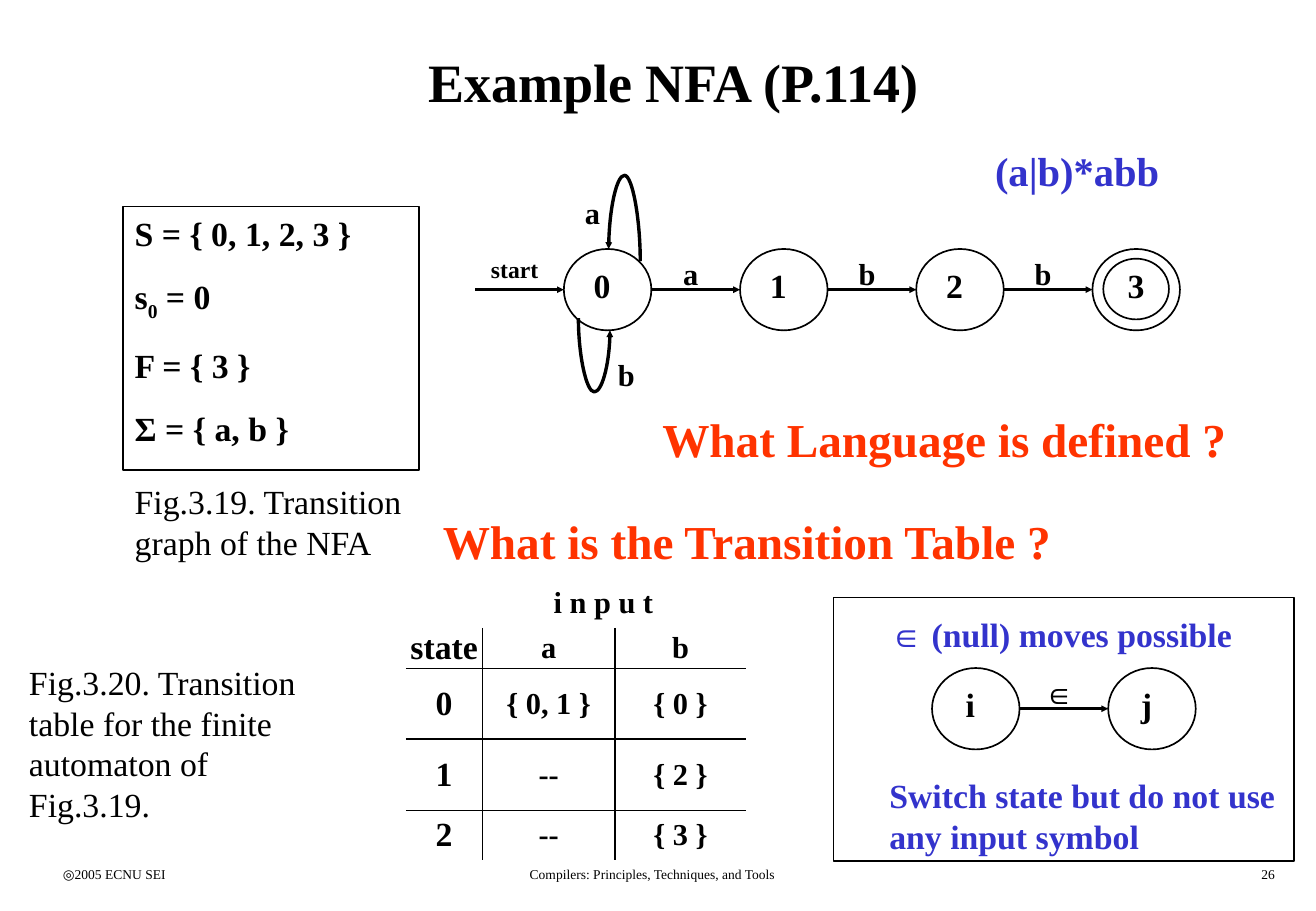
from dataclasses import dataclass
from itertools import product
from typing import Any

from lxml.etree import SubElement
from pptx import Presentation
from pptx.dml.color import RGBColor
from pptx.enum.shapes import MSO_CONNECTOR, MSO_SHAPE
from pptx.enum.text import MSO_ANCHOR, PP_ALIGN
from pptx.oxml.ns import qn
from pptx.util import Inches, Pt


@dataclass(frozen=True)
class Theme:
    face: str = "Times New Roman"
    black: str = "000000"
    blue: str = "3333CC"
    red: str = "FF3300"
    title: int = 32
    ask: int = 28
    regex: int = 24
    body: int = 20
    label: int = 18
    start: int = 14
    foot: int = 8
    thin: int = 1
    thick: int = 2


@dataclass(frozen=True)
class Note:
    text: str
    at: tuple[float, float, float, float]
    size: int
    color: str = "000000"
    bold: bool = True
    align: Any = PP_ALIGN.CENTER
    wrap: bool = True


@dataclass(frozen=True)
class State:
    name: str
    label: str = ""
    final: bool = False


@dataclass(frozen=True)
class Loop:
    at: tuple[float, float, float, float]
    turn: int
    bend: float


THEME = Theme()
LEFT, RIGHT = PP_ALIGN.LEFT, PP_ALIGN.RIGHT
WIDE, HIGH, PITCH = 0.72, 0.67, 1.45

NOTES = [
    # Footer
    Note("◎2005 ECNU SEI", (0.42, 7.08, 2.26, 0.25), THEME.foot, bold=False, align=LEFT),
    Note("Compilers: Principles, Techniques, and Tools", (3.34, 7.08, 4.06, 0.25),
         THEME.foot, bold=False),
    Note("26", (8.33, 7.08, 2.26, 0.25), THEME.foot, bold=False, align=RIGHT),
    # Questions and language
    Note("What Language is defined ?", (4.97, 3.33, 5.6, 0.57), THEME.ask, THEME.red),
    Note("What is the Transition Table ?", (1.9, 4.17, 8.49, 0.57), THEME.ask, THEME.red),
    Note("(a|b)*abb", (8.09, 1.15, 1.55, 0.5), THEME.regex, THEME.blue,
         align=LEFT, wrap=False),
    # Captions
    Note("Fig.3.19. Transition graph of the NFA", (1.01, 3.91, 2.84, 0.77),
         THEME.body, bold=False, align=LEFT),
    Note("Fig.3.20. Transition table for the finite automaton of Fig.3.19.",
         (0.14, 5.4, 2.58, 1.43), THEME.body, bold=False, align=LEFT),
    # Loop and table labels
    Note("a", (4.65, 1.55, 0.45, 0.4), THEME.label),
    Note("b", (4.93, 2.88, 0.45, 0.4), THEME.label),
    Note("i n p u t", (3.97, 4.75, 1.99, 0.4), THEME.label),
    # Null moves
    Note("∈ (null) moves possible", (7.22, 5, 3.25, 0.43), THEME.body, THEME.blue, align=LEFT),
    Note("Switch state but do not use any input symbol", (7.22, 6.33, 3.43, 0.77),
         THEME.body, THEME.blue, align=LEFT),
]
GRAPH = [State("0"), State("1", "a"), State("2", "b"), State("3", "b", True)]
NULL = [State("i"), State("j", "∈")]
LOOPS = [Loop((5.09, 1.97, 0.1, 0.26), 90, 7.07), Loop((4.84, 2.54, 0.1, 0.26), 270, 6.07)]
FACTS = [("S = { 0, 1, 2, 3 }",), ("s", "0", " = 0"), ("F = { 3 }",), ("Σ = { a, b }",)]
ROWS = [("state", "a", "b"), ("0", "{ 0, 1 }", "{ 0 }"),
        ("1", "--", "{ 2 }"), ("2", "--", "{ 3 }")]
COLS = (0.63, 1.09, 1.08)
TALL = (0.33, 0.58, 0.59, 0.41)


def put(target: Any, **values: Any) -> None:
    for name, value in values.items():
        setattr(target, name, value)


def style(font: Any, size: int, color: str = THEME.black, bold: bool = True) -> None:
    put(font, name=THEME.face, size=Pt(size), bold=bold)
    font.color.rgb = RGBColor.from_string(color)


def write(frame: Any, text: str, size: int, color: str = THEME.black,
          bold: bool = True, align: Any = PP_ALIGN.CENTER) -> None:
    para = frame.paragraphs[0]
    para.alignment = align
    run = para.add_run()
    run.text = text
    style(run.font, size, color, bold)


def add_note(slide: Any, note: Note) -> None:
    frame = slide.shapes.add_textbox(*map(Inches, note.at)).text_frame
    frame.word_wrap = note.wrap
    write(frame, note.text, note.size, note.color, note.bold, note.align)


def ink(shape: Any, width: int) -> None:
    shape.line.color.rgb = RGBColor.from_string(THEME.black)
    shape.line.width = Pt(width)


def outline(slide: Any, kind: Any, *at: float) -> Any:
    shape = slide.shapes.add_shape(kind, *map(Inches, at))
    shape.shadow.inherit = False
    shape.fill.background()
    ink(shape, THEME.thin)
    return shape


def arrow(slide: Any, kind: Any, *ends: float) -> Any:
    link = slide.shapes.add_connector(kind, *map(Inches, ends))
    ink(link, THEME.thick)
    SubElement(link.line._get_or_add_ln(), qn("a:tailEnd"), type="triangle", w="sm", len="sm")
    SubElement(link._element.spPr, qn("a:effectLst"))
    return link


def add_chain(slide: Any, states: list[State], left: float, top: float) -> None:
    for i, state in enumerate(states):
        x = left + i * PITCH
        node = outline(slide, MSO_SHAPE.OVAL, x, top, WIDE, HIGH)
        if state.final:
            node = outline(slide, MSO_SHAPE.OVAL, x + 0.09, top + 0.08, 0.54, 0.5)
        frame = node.text_frame
        put(frame, margin_left=0, margin_top=0, margin_bottom=Inches(0.07),
            margin_right=0 if state.final else Inches(0.09),
            vertical_anchor=MSO_ANCHOR.MIDDLE, word_wrap=False)
        write(frame, state.name, THEME.body)
        if state.label:
            size = THEME.start if state.label == "start" else THEME.label
            mid = top + HIGH / 2
            arrow(slide, MSO_CONNECTOR.STRAIGHT, x - PITCH + WIDE, mid, x, mid)
            add_note(slide, Note(state.label, (x - 0.81, top, 0.81, 0.4), size))


def add_loop(slide: Any, loop: Loop) -> None:
    x, y, w, h = loop.at
    props = arrow(slide, MSO_CONNECTOR.CURVE, x, y, x + w, y + h)._element.spPr
    frame = props.find(qn("a:xfrm"))
    frame.set("rot", str(loop.turn * 60000))
    frame.set("flipH", "1")
    guides = props.find(qn("a:prstGeom")).find(qn("a:avLst"))
    SubElement(guides, qn("a:gd"), name="adj1", fmla=f"val {round(loop.bend * 100000)}")


def add_facts(slide: Any) -> None:
    outline(slide, MSO_SHAPE.RECTANGLE, 1.01, 1.7, 2.44, 2.17)
    frame = slide.shapes.add_textbox(*map(Inches, (1.01, 1.7, 2.44, 2.03))).text_frame
    frame.word_wrap = True
    for i, parts in enumerate(FACTS):
        para = frame.add_paragraph() if i else frame.paragraphs[0]
        if i:
            put(para, space_before=Pt(11), line_spacing=1.1)
        for j, part in enumerate(parts):
            run = para.add_run()
            run.text = part
            style(run.font, THEME.body)
            if j == 1:
                run.font._element.set("baseline", "-25000")


def edge(cell: Any, side: str, shown: bool) -> None:
    line = SubElement(cell._tc.get_or_add_tcPr(), qn(f"a:ln{side}"), w=str(Pt(THEME.thin)))
    if shown:
        fill = SubElement(line, qn("a:solidFill"))
        SubElement(fill, qn("a:srgbClr"), val=THEME.black)
    else:
        SubElement(line, qn("a:noFill"))


def add_grid(slide: Any) -> None:
    rows, cols = len(ROWS), len(COLS)
    box = map(Inches, (3.34, 5.17, sum(COLS), sum(TALL)))
    table = slide.shapes.add_table(rows, cols, *box).table
    put(table, first_row=False, horz_banding=False)
    for col, width in zip(table.columns, COLS):
        col.width = Inches(width)
    for row, height in zip(table.rows, TALL):
        row.height = Inches(height)
    for r, c in product(range(rows), range(cols)):
        cell = table.cell(r, c)
        put(cell, margin_left=0, margin_right=0, margin_top=0, margin_bottom=0,
            vertical_anchor=MSO_ANCHOR.MIDDLE)
        inner = {"L": c > 0, "R": c < cols - 1, "T": r > 0, "B": r < rows - 1}
        for side, shown in inner.items():
            edge(cell, side, shown)
        cell.fill.background()
        write(cell.text_frame, ROWS[r][c], THEME.label if c else THEME.body)


def main() -> None:
    deck = Presentation()
    put(deck, slide_width=Inches(10.83), slide_height=Inches(7.5))
    slide = deck.slides.add_slide(deck.slide_layouts[5])

    # Title
    title = slide.shapes.title
    put(title, left=Inches(0.42), top=Inches(0.17), width=Inches(10.25), height=Inches(1))
    title.text_frame.vertical_anchor = MSO_ANCHOR.MIDDLE
    write(title.text_frame, "Example NFA (P.114)", THEME.title)

    # Automaton
    add_facts(slide)
    add_chain(slide, [State("0", "start"), *GRAPH[1:]], 4.64, 2.05)
    for loop in LOOPS:
        add_loop(slide, loop)

    # Table and null moves
    add_grid(slide)
    outline(slide, MSO_SHAPE.RECTANGLE, 6.86, 4.92, 3.79, 2.17)
    add_chain(slide, NULL, 7.67, 5.5)

    # Texts
    for note in NOTES:
        add_note(slide, note)
    deck.save("out.pptx")


if __name__ == "__main__":
    main()
